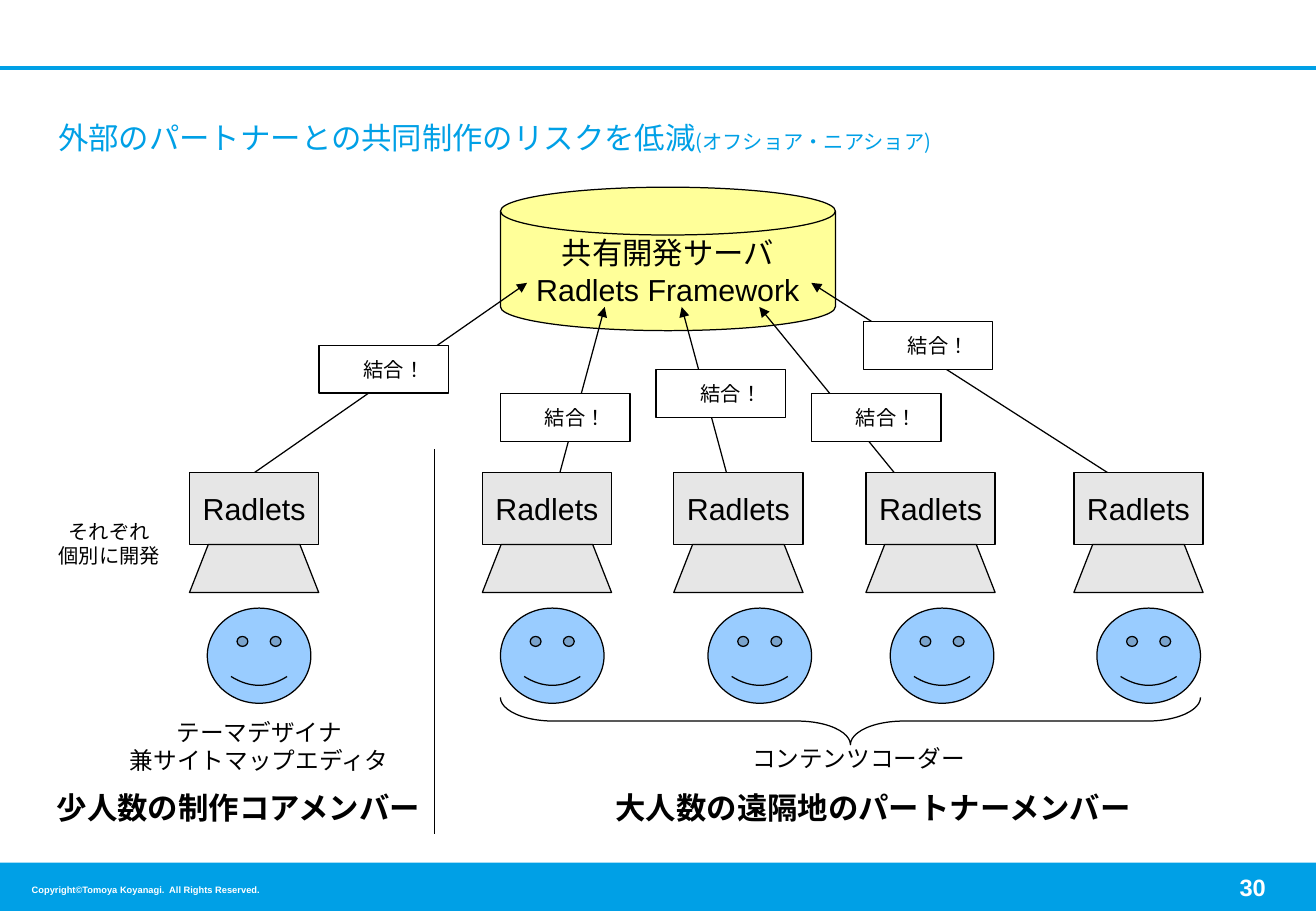
from dataclasses import dataclass

from lxml import etree
from pptx import Presentation
from pptx.dml.color import RGBColor
from pptx.enum.lang import MSO_LANGUAGE_ID
from pptx.enum.shapes import MSO_CONNECTOR, MSO_SHAPE
from pptx.enum.text import MSO_ANCHOR, PP_ALIGN
from pptx.oxml.ns import qn
from pptx.util import Inches, Pt

STRAIGHT = MSO_CONNECTOR.STRAIGHT
RECTANGLE = MSO_SHAPE.RECTANGLE
SMILEY = MSO_SHAPE.SMILEY_FACE
DISK = MSO_SHAPE.FLOWCHART_MAGNETIC_DISK
BRACE = MSO_SHAPE.LEFT_BRACE
MIDDLE = MSO_ANCHOR.MIDDLE
LEFT, CENTER, RIGHT = PP_ALIGN.LEFT, PP_ALIGN.CENTER, PP_ALIGN.RIGHT
JAPANESE = MSO_LANGUAGE_ID.JAPANESE


@dataclass(frozen=True)
class Theme:
    accent: str = "00A0E6"
    ink: str = "000000"
    paper: str = "FFFFFF"
    server: str = "FFFF99"
    face: str = "99CCFF"
    laptop: str = "E6E6E6"
    latin: str = "Arial"
    japanese: str = "Noto Sans CJK JP"
    heading: float = 18
    role: float = 14
    note: float = 12
    footer: float = 5.5
    thin: float = 0.75
    thick: float = 2.25
    leading: float = 1.2


THEME = Theme()
WIDTH, HEIGHT = Inches(10.83), Inches(7.5)

# Content: all places and sizes are percentages of the slide's width and height
TITLE = "外部のパートナーとの共同制作のリスクを低減"
SUBTITLE = "(オフショア・ニアショア)"
TITLE_BOX = (3.5, 12, 92.05, 6.15)
SERVER_LINES = ["共有開発サーバ", "Radlets Framework"]
SERVER_BOX = (38.03, 20.55, 25.45, 15.75)
LAPTOP_TEXT = "Radlets"
MERGE_TEXT = "　結合！"

# Each member: laptop left, face left, arrow start x, arrow end, merge label corner
MEMBERS = [
    (14.4, 15.75, 16.43, (40.05, 31.05), (24.25, 37.9)),
    (36.65, 38.03, 42, (45.95, 33.7), (38.03, 43.2)),
    (51.2, 53.8, 55.75, (51.8, 33.7), (49.85, 40.55)),
    (65.8, 67.65, 69.6, (57.7, 33.7), (61.65, 43.2)),
    (81.6, 83.35, 87.32, (61.65, 31.05), (65.6, 35.3)),
]
LAPTOP_TOP, LAPTOP_WIDTH, SCREEN_HEIGHT, BASE_HEIGHT = 51.9, 9.82, 7.87, 5.27
BASE_INSET = 1.43
FACE_TOP, FACE_WIDTH, FACE_HEIGHT = 66.75, 7.87, 10.45
ARROW_START_Y = 54.8
MERGE_SIZE = (9.85, 5.25)
BRACE_BOX = (38.03, 76.55, 53.2, 5.2)
DIVIDER = ((33, 49.3), (33, 91.55))
TOP_RULE = ((0, 7.45), (100, 7.45))
FOOTER_BAND = (0, 94.7, 100, 5.3)

# Captions: lines, box, type size, bold
CAPTIONS = [
    (["テーマデザイナ", "兼サイトマップエディタ"], (6.2, 78.15, 27, 7.45), THEME.role, False),
    (["コンテンツコーダー"], (53.25, 81.05, 24, 4.4), THEME.role, False),
    (["それぞれ", "個別に開発"], (2.3, 51.2, 12, 16.95), THEME.note, False),
    (["少人数の制作コアメンバー"], (2.1, 85.3, 32, 6.7), THEME.heading, True),
    (["大人数の遠隔地のパートナーメンバー"], (38.85, 85.3, 55, 6.7), THEME.heading, True),
]
COPYRIGHT = "Copyright©Tomoya Koyanagi.  All Rights Reserved."
COPYRIGHT_BOX = (1.5, 96.4, 25, 2.55)
PAGE_NUMBER = "30"
PAGE_BOX = (73.75, 94.7, 23.35, 5.3)


def across(share):
    return round(WIDTH * share / 100)


def down(share):
    return round(HEIGHT * share / 100)


def place(box):
    left, top, width, height = box
    return across(left), down(top), across(width), down(height)


def color(code):
    return RGBColor.from_string(code)


def paint(shape, fill=None, line=THEME.ink):
    shape.shadow.inherit = False
    if fill:
        shape.fill.solid()
        shape.fill.fore_color.rgb = color(fill)
    else:
        shape.fill.background()
    if line:
        shape.line.color.rgb = color(line)
        shape.line.width = Pt(THEME.thin)
    else:
        shape.line.fill.background()
    return shape


def format_run(run, size, font, ink, bold):
    run.font.size, run.font.bold, run.font.name = Pt(size), bold, font
    run.font.color.rgb = color(ink)
    run.font.language_id = JAPANESE
    east_asian = etree.SubElement(run.font._element, qn("a:ea"))
    east_asian.set("typeface", THEME.japanese)


def write(shape, lines, size, font=THEME.japanese, ink=THEME.ink, bold=False, align=CENTER):
    frame = shape.text_frame
    frame.text = "\n".join(lines)
    frame.word_wrap = True
    frame.vertical_anchor = MIDDLE
    for paragraph in frame.paragraphs:
        paragraph.alignment = align
        if len(lines) > 1:
            paragraph.line_spacing = Pt(size * THEME.leading)
        for run in paragraph.runs:
            format_run(run, size, font, ink, bold)
    return frame


def add_line(slide, start, end, ink=THEME.ink, weight=THEME.thin, arrow=False):
    line = slide.shapes.add_connector(
        STRAIGHT, across(start[0]), down(start[1]), across(end[0]), down(end[1]))
    line.line.color.rgb = color(ink)
    line.line.width = Pt(weight)
    properties = line._element.spPr
    if arrow:
        etree.SubElement(properties.find(qn("a:ln")), qn("a:tailEnd")).set("type", "triangle")
    etree.SubElement(properties, qn("a:effectLst"))


def add_laptop(slide, left):
    group = slide.shapes.add_group_shape()
    screen = group.shapes.add_shape(
        RECTANGLE, *place((left, LAPTOP_TOP, LAPTOP_WIDTH, SCREEN_HEIGHT)))
    write(paint(screen, THEME.laptop), [LAPTOP_TEXT], THEME.heading, THEME.latin)
    right, top = left + LAPTOP_WIDTH, LAPTOP_TOP + SCREEN_HEIGHT
    bottom = top + BASE_HEIGHT
    outline = group.shapes.build_freeform(across(left), down(bottom))
    outline.add_line_segments([
        (across(left + BASE_INSET), down(top)),
        (across(right - BASE_INSET), down(top)),
        (across(right), down(bottom)),
    ])
    paint(outline.convert_to_shape(), THEME.laptop)


def main():
    presentation = Presentation()
    presentation.slide_width, presentation.slide_height = WIDTH, HEIGHT
    slide = presentation.slides.add_slide(presentation.slide_layouts[6])
    shapes = slide.shapes

    # Page frame
    add_line(slide, *TOP_RULE, THEME.accent, THEME.thick)
    paint(shapes.add_shape(RECTANGLE, *place(FOOTER_BAND)), THEME.accent, None)
    write(shapes.add_textbox(*place(COPYRIGHT_BOX)), [COPYRIGHT], THEME.footer,
          THEME.latin, THEME.paper, True, LEFT)
    write(shapes.add_textbox(*place(PAGE_BOX)), [PAGE_NUMBER], THEME.role,
          THEME.latin, THEME.paper, True, RIGHT)

    # Title
    title = write(shapes.add_textbox(*place(TITLE_BOX)), [TITLE], THEME.heading,
                  ink=THEME.accent, align=LEFT)
    subtitle = title.paragraphs[0].add_run()
    subtitle.text = SUBTITLE
    format_run(subtitle, THEME.note, THEME.japanese, THEME.accent, False)

    # Shared server
    server = paint(shapes.add_shape(DISK, *place(SERVER_BOX)), THEME.server)
    write(server, SERVER_LINES, THEME.heading, THEME.latin)

    # Members: arrows lie under the laptops and the merge labels
    for laptop_left, face_left, arrow_x, arrow_end, merge_corner in MEMBERS:
        add_line(slide, (arrow_x, ARROW_START_Y), arrow_end, arrow=True)
        face = shapes.add_shape(SMILEY, *place((face_left, FACE_TOP, FACE_WIDTH, FACE_HEIGHT)))
        paint(face, THEME.face)
        add_laptop(slide, laptop_left)
        merge = paint(shapes.add_shape(RECTANGLE, *place(merge_corner + MERGE_SIZE)), THEME.paper)
        frame = write(merge, [MERGE_TEXT], THEME.note)
        frame.margin_left = frame.margin_right = Inches(0.08)
        frame.margin_top = frame.margin_bottom = Inches(0.03)

    # Brace under the remote members, turned to point down
    left, top, span, depth = place(BRACE_BOX)
    shift = (span - depth) // 2
    brace = paint(shapes.add_shape(BRACE, left + shift, top - shift, depth, span))
    brace.rotation = 270
    brace.adjustments[0] = 1.12

    # Divider and captions
    add_line(slide, *DIVIDER)
    for lines, box, size, bold in CAPTIONS:
        write(shapes.add_textbox(*place(box)), lines, size, bold=bold)

    presentation.save("out.pptx")


if __name__ == "__main__":
    main()
